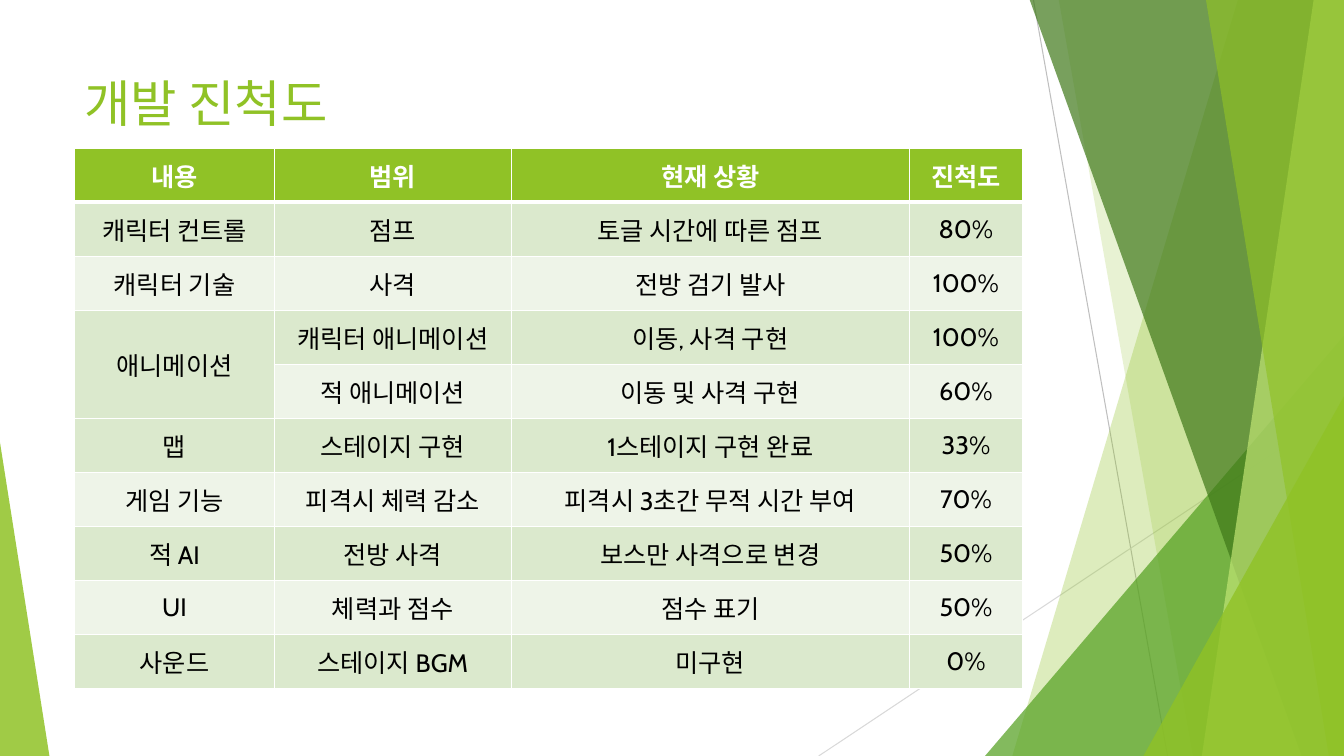
from lxml.etree import SubElement
from pptx import Presentation
from pptx.dml.color import RGBColor
from pptx.enum.shapes import MSO_CONNECTOR as CONN, MSO_SHAPE as SHAPE
from pptx.enum.text import MSO_ANCHOR as ANCHOR, PP_ALIGN as ALIGN
from pptx.oxml.ns import qn
from pptx.util import Inches, Pt

W, H = 13.33, 7.5
FONT = "Cabin"
C = {"green": "90C226", "leaf": "54A021", "forest": "3F7819", "lime": "C0E474",
     "band": "DBE9CD", "pale": "EEF4E8", "white": "FFFFFF", "black": "000000",
     "grey": "BFBFBF", "silver": "D9D9D9"}

TITLE = "개발 진척도"
ROWS = [
    ("내용", "범위", "현재 상황", "진척도"),
    ("캐릭터 컨트롤", "점프", "토글 시간에 따른 점프", "80%"),
    ("캐릭터 기술", "사격", "전방 검기 발사", "100%"),
    ("애니메이션", "캐릭터 애니메이션", "이동, 사격 구현", "100%"),
    (None, "적 애니메이션", "이동 및 사격 구현", "60%"),  # None joins the cell above
    ("맵", "스테이지 구현", "1스테이지 구현 완료", "33%"),
    ("게임 기능", "피격시 체력 감소", "피격시 3초간 무적 시간 부여", "70%"),
    ("적 AI", "전방 사격", "보스만 사격으로 변경", "50%"),
    ("UI", "체력과 점수", "점수 표기", "50%"),
    ("사운드", "스테이지 BGM", "미구현", "0%"),
]
COLS = [1.98, 2.35, 3.95, 1.12]
LEFT, TOP, ROW_H = 0.74, 1.47, 0.536

# Thin lines: start, end, colour
LINES = [((10.25, 0), (11.58, H), "grey"), ((W, 4.03), (8.12, H), "silver")]
# Back to front. Shard: top x, bottom x; peak: left, top, width, apex share
FACETS = [
    ("shard", (12.28, 10.04), "green", 30),
    ("shard", (10.5, 11.83), "green", 20),
    ("peak", (9.77, 3.33, 3.56, 1), "leaf", 72),
    ("shard", (10.21, 12.91), "forest", 70),
    ("shard", (13.03, 11.92), "lime", 70),
    ("shard", (11.96, 13.18), "green", 65),
    ("peak", (11.34, 3.93, 1.99, 1), "green", 80),
    ("peak", (0, 4.39, 0.49, 0), "green", 85),
]

prs = Presentation()
prs.slide_width, prs.slide_height = Inches(W), Inches(H)
s = prs.slides.add_slide(prs.slide_layouts[6])


def rgb(name):
    return RGBColor.from_string(C[name])


def shard(top_x, bottom_x):
    """Four-sided sliver reaching the right edge of the slide."""
    pts = [(Inches(x), Inches(y)) for x, y in
           [(top_x, -0.01), (W, -0.01), (W, H), (bottom_x, H)]]
    fb = s.shapes.build_freeform(*pts[0], scale=1.0)
    fb.add_line_segments(pts[1:], close=True)
    return fb.convert_to_shape()


def peak(left, top, width, apex):
    """Triangle standing on the bottom edge of the slide."""
    sp = s.shapes.add_shape(SHAPE.ISOSCELES_TRIANGLE, Inches(left), Inches(top),
                            Inches(width), Inches(H - top))
    sp.adjustments[0] = apex
    return sp


def write(tf, text, size, color, align, bold=False):
    p = tf.paragraphs[0]
    p.text, p.alignment = text, align
    p.font.name, p.font.size, p.font.bold = FONT, Pt(size), bold
    p.font.color.rgb = rgb(color)


def border(cell, sides):
    """Solid white cell borders; sides maps L, R, T, B to points."""
    tc_pr = cell._tc.get_or_add_tcPr()
    for side, width in sides.items():
        ln = SubElement(tc_pr, qn(f"a:ln{side}"), w=str(Pt(width)))
        SubElement(SubElement(ln, qn("a:solidFill")), qn("a:srgbClr"), val=C["white"])


# Background lines
for start, end, color in LINES:
    cx = s.shapes.add_connector(CONN.STRAIGHT, *map(Inches, start + end))
    cx.line.color.rgb, cx.line.width = rgb(color), Pt(0.75)
    SubElement(cx._element.spPr, qn("a:effectLst"))

# Translucent facets
DRAW = {"shard": shard, "peak": peak}
for kind, geometry, color, opacity in FACETS:
    sp = DRAW[kind](*geometry)
    sp.shadow.inherit = False
    sp.line.fill.background()
    sp.fill.solid()
    sp.fill.fore_color.rgb = rgb(color)
    clr = sp._element.spPr.find(".//" + qn("a:srgbClr"))
    SubElement(clr, qn("a:alpha"), val=str(opacity * 1000))

# Title
tf = s.shapes.add_textbox(Inches(LEFT), Inches(0.67), Inches(sum(COLS)),
                          Inches(0.81)).text_frame
tf.word_wrap, tf.vertical_anchor = True, ANCHOR.TOP
write(tf, TITLE, 36, "green", ALIGN.LEFT)

# Progress table
table = s.shapes.add_table(len(ROWS), len(COLS), Inches(LEFT), Inches(TOP),
                           Inches(sum(COLS)), Inches(ROW_H * len(ROWS))).table
for col, width in zip(table.columns, COLS):
    col.width = Inches(width)
for r, row in enumerate(ROWS):
    table.rows[r].height = Inches(ROW_H)
    head = r == 0
    fill = "green" if head else "band" if r % 2 else "pale"
    for c, text in enumerate(row):
        cell = table.cell(r, c)
        border(cell, {"L": 1, "R": 1, "T": 3 if r == 1 else 1, "B": 3 if head else 1})
        cell.fill.solid()
        cell.fill.fore_color.rgb = rgb(fill)
        cell.vertical_anchor = ANCHOR.MIDDLE
        if text is None:
            table.cell(r - 1, c).merge(cell)
        else:
            write(cell.text_frame, text, 18, "white" if head else "black",
                  ALIGN.CENTER, head)

prs.save("out.pptx")
